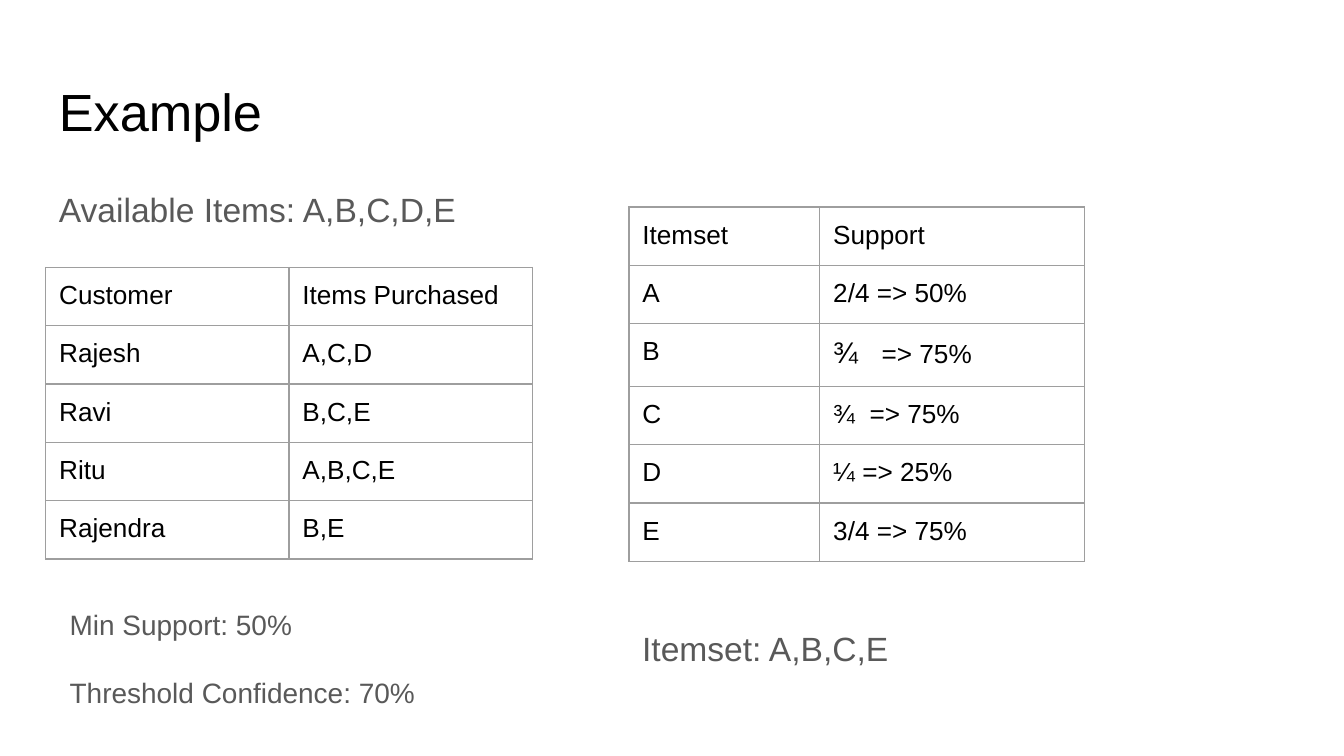
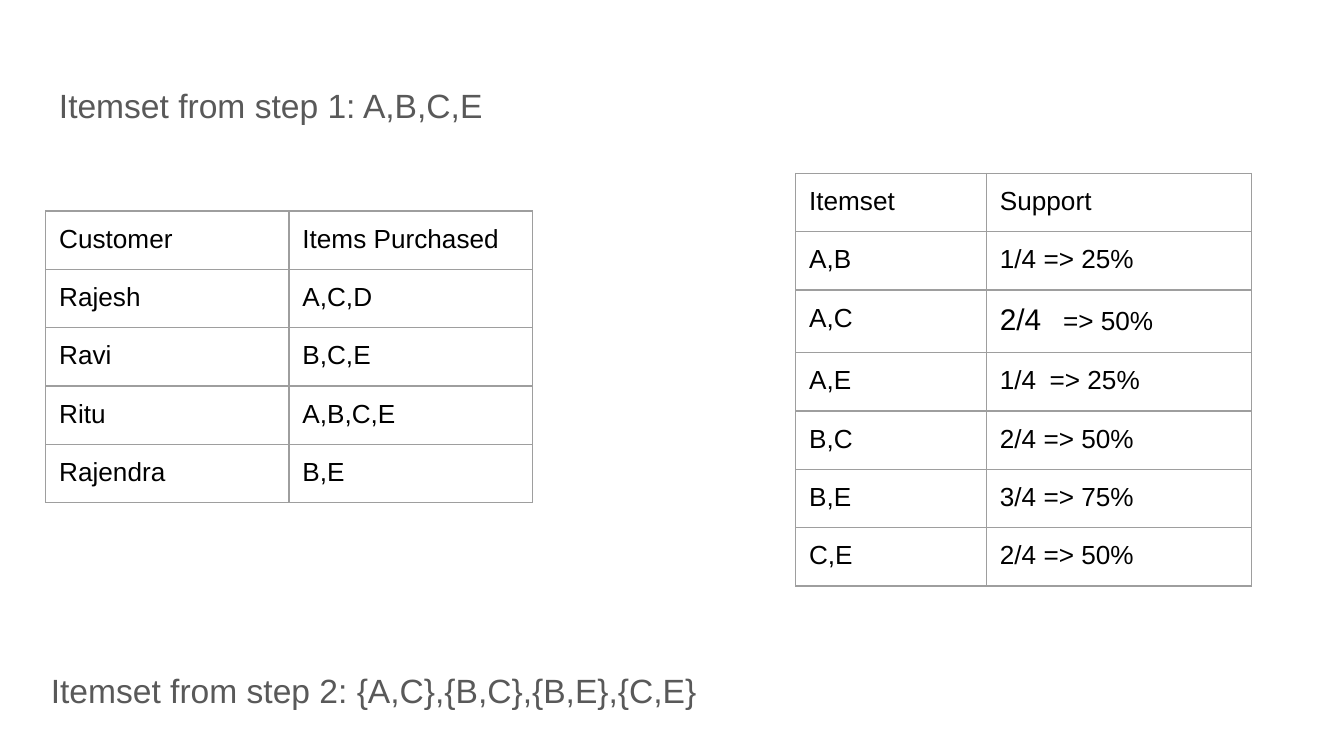
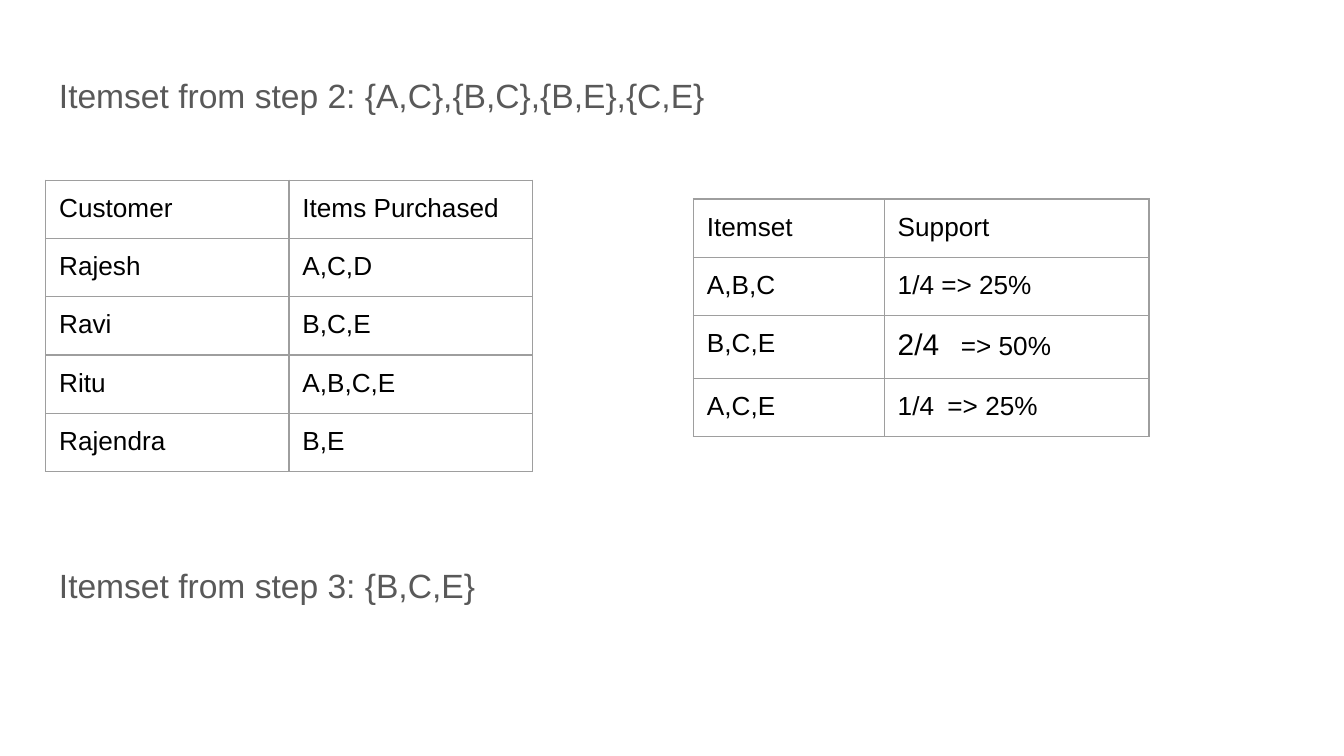
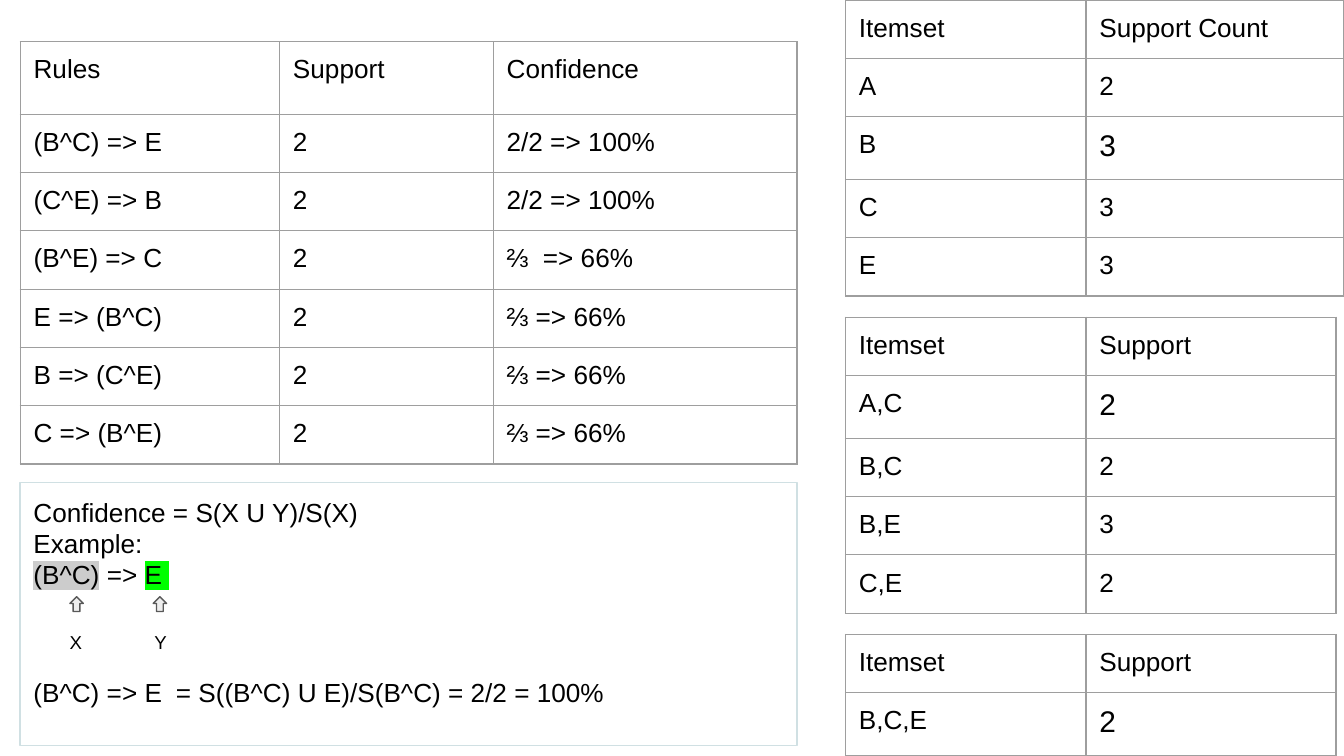
from dataclasses import dataclass
from typing import Optional, Union

from lxml.etree import SubElement
from pptx import Presentation
from pptx.dml.color import RGBColor
from pptx.enum.shapes import MSO_SHAPE as Preset
from pptx.enum.text import MSO_ANCHOR as Anchor, PP_ALIGN as Align
from pptx.oxml.ns import qn
from pptx.oxml.xmlchemy import OxmlElement
from pptx.util import Inches, Pt


@dataclass(frozen=True)
class Theme:
    font: str = "Arial"
    ink: str = "000000"
    muted: str = "595959"
    paper: str = "FFFFFF"
    grid: str = "9E9E9E"
    frame: str = "D0E0E3"
    arrow: str = "EEEEEE"
    mark_x: str = "CCCCCC"
    mark_y: str = "00FF00"
    title: float = 28
    heading: float = 18
    emphasis: float = 16
    note: float = 15
    body: float = 14
    label: float = 10
    hairline: float = 0.75
    inset: float = 0.1


THEME = Theme()


@dataclass(frozen=True)
class Run:
    text: str
    size: float = THEME.body
    color: str = THEME.ink
    highlight: Optional[str] = None


@dataclass(frozen=True)
class Line:
    """One paragraph; tabs are stops in inches from the text edge."""
    runs: tuple[Run, ...]
    spacing: Optional[float] = None
    before: float = 0
    after: float = 0
    tabs: tuple[float, ...] = ()


@dataclass(frozen=True)
class Box:
    left: float
    top: float
    width: float
    height: float

    def lengths(self) -> tuple:
        return tuple(Inches(v) for v in (self.left, self.top, self.width, self.height))


Cell = Union[str, Line]


@dataclass(frozen=True)
class Grid:
    left: float
    top: float
    columns: tuple[float, ...]
    rows: tuple[tuple[Cell, ...], ...]
    row_height: float = 0.42
    header_height: Optional[float] = None


def plain(text: str) -> Line:
    return Line((Run(text),))


def cell_line(text: str, size: float = THEME.body) -> Line:
    return Line((Run(text, size),), 1.0)


def large(text: str) -> Line:
    return cell_line(text, THEME.emphasis)


def tabbed(fraction: str, percent: str, stop: float, size: float = THEME.body) -> Line:
    """A fraction with its percentage moved to a tab stop."""
    return Line((Run(fraction, size), Run(f"\t=> {percent}")), 1.0, tabs=(stop,))


def muted(text: str, size: float = THEME.heading, before: float = 0, after: float = 0) -> Line:
    return Line((Run(text, size, THEME.muted),), 1.15, before, after)


def add_run(paragraph, item: Run) -> None:
    run = paragraph.add_run()
    run.text = item.text
    font = run.font
    font.name = THEME.font
    font.size = Pt(item.size)
    font.color.rgb = RGBColor.from_string(item.color)
    if item.highlight:
        highlight = OxmlElement("a:highlight")
        SubElement(highlight, qn("a:srgbClr"), val=item.highlight)
        run._r.rPr.find(qn("a:solidFill")).addnext(highlight)


def write_lines(text_frame, lines: tuple[Line, ...]) -> None:
    for index, line in enumerate(lines):
        paragraph = text_frame.add_paragraph() if index else text_frame.paragraphs[0]
        paragraph.alignment = Align.LEFT
        paragraph.space_before = Pt(line.before)
        paragraph.space_after = Pt(line.after)
        if line.spacing:
            paragraph.line_spacing = line.spacing
        if line.tabs:
            stops = SubElement(paragraph._p.get_or_add_pPr(), qn("a:tabLst"))
            for stop in line.tabs:
                SubElement(stops, qn("a:tab"), pos=str(Inches(stop)), algn="l")
        for run in line.runs:
            add_run(paragraph, run)


def set_insets(target) -> None:
    for side in ("left", "right", "top", "bottom"):
        setattr(target, f"margin_{side}", Inches(THEME.inset))


def fill_frame(shape, lines: tuple[Line, ...]) -> None:
    text_frame = shape.text_frame
    text_frame.word_wrap = True
    text_frame.vertical_anchor = Anchor.TOP
    set_insets(text_frame)
    write_lines(text_frame, lines)


def add_text(slide, box: Box, *lines: Line) -> None:
    fill_frame(slide.shapes.add_textbox(*box.lengths()), lines)


def add_preset(slide, preset: Preset, box: Box, line: str, fill: Optional[str] = None):
    shape = slide.shapes.add_shape(preset, *box.lengths())
    shape.shadow.inherit = False
    shape.line.color.rgb = RGBColor.from_string(line)
    shape.line.width = Pt(THEME.hairline)
    if fill:
        shape.fill.solid()
        shape.fill.fore_color.rgb = RGBColor.from_string(fill)
    else:
        shape.fill.background()
    return shape


def add_borders(cell) -> None:
    properties = cell._tc.get_or_add_tcPr()
    for index, side in enumerate(("lnL", "lnR", "lnT", "lnB")):
        border = OxmlElement(f"a:{side}")
        border.set("w", str(Pt(THEME.hairline)))
        fill = SubElement(border, qn("a:solidFill"))
        SubElement(fill, qn("a:srgbClr"), val=THEME.grid)
        properties.insert(index, border)


def add_grid(slide, grid: Grid) -> None:
    heights = [grid.row_height] * len(grid.rows)
    heights[0] = grid.header_height or grid.row_height
    box = Box(grid.left, grid.top, sum(grid.columns), sum(heights))
    table = slide.shapes.add_table(len(heights), len(grid.columns), *box.lengths()).table
    table.first_row = False
    table.horz_banding = False
    for column, width in zip(table.columns, grid.columns):
        column.width = Inches(width)
    for row, height, values in zip(table.rows, heights, grid.rows):
        row.height = Inches(height)
        for cell, value in zip(row.cells, values):
            cell.fill.background()
            cell.vertical_anchor = Anchor.TOP
            set_insets(cell)
            add_borders(cell)
            line = cell_line(value) if isinstance(value, str) else value
            write_lines(cell.text_frame, (line,))


MARGIN = 0.34
SUPPORT_COLUMNS = (1.42, 1.97)
SUPPORT_HEADER = ("Itemset", "Support")
STEP_2 = "Itemset from step 2: {A,C},{B,C},{B,E},{C,E}"
PURCHASES = (
    ("Customer", "Items Purchased"),
    ("Rajesh", "A,C,D"),
    ("Ravi", "B,C,E"),
    ("Ritu", "A,B,C,E"),
    ("Rajendra", "B,E"),
)


def add_purchases(slide, top: float) -> None:
    add_grid(slide, Grid(MARGIN, top, (1.81, 1.81), PURCHASES))


def add_support(slide, left: float, top: float, *rows: tuple[Cell, ...]) -> None:
    add_grid(slide, Grid(left, top, SUPPORT_COLUMNS, (SUPPORT_HEADER, *rows)))


def add_heading(slide, top: float, text: str, left: float = MARGIN, after: float = 0) -> None:
    add_text(slide, Box(left, top, 9.32, 0.44), muted(text, after=after))


def build_example(slide) -> None:
    add_text(slide, Box(MARGIN, 0.49, 9.32, 0.63), Line((Run("Example", THEME.title),)))
    add_text(slide, Box(MARGIN, 1.26, 3.2, 0.53), muted("Available Items: A,B,C,D,E", after=16))
    add_purchases(slide, 1.99)
    add_text(
        slide, Box(0.42, 4.38, 3.54, 1.01),
        muted("Min Support: 50%", THEME.note),
        muted("Threshold Confidence: 70%", THEME.note, before=16, after=16),
    )
    add_support(
        slide, 4.68, 1.54,
        ("A", "2/4 => 50%"),
        ("B", tabbed("¾", "75%", 0.36, THEME.emphasis)),
        ("C", tabbed("¾", "75%", 0.27)),
        ("D", "¼ => 25%"),
        ("E", "3/4 => 75%"),
    )
    add_text(slide, Box(4.68, 4.53, 3.2, 0.53), muted("Itemset: A,B,C,E", after=16))


def build_pairs(slide) -> None:
    add_heading(slide, 0.49, "Itemset from step 1: A,B,C,E")
    add_purchases(slide, 1.57)
    add_support(
        slide, 5.92, 1.29,
        ("A,B", "1/4 => 25%"),
        ("A,C", tabbed("2/4", "50%", 0.47, THEME.emphasis)),
        ("A,E", tabbed("1/4", "25%", 0.37)),
        ("B,C", "2/4 => 50%"),
        ("B,E", "3/4 => 75%"),
        ("C,E", "2/4 => 50%"),
    )
    add_heading(slide, 4.84, STEP_2, left=0.28)


def build_triples(slide) -> None:
    add_heading(slide, 0.41, STEP_2)
    add_purchases(slide, 1.34)
    add_support(
        slide, 5.16, 1.48,
        ("A,B,C", "1/4 => 25%"),
        ("B,C,E", tabbed("2/4", "50%", 0.47, THEME.emphasis)),
        ("A,C,E", tabbed("1/4", "25%", 0.37)),
    )
    add_heading(slide, 4.06, "Itemset from step 3: {B,C,E}", after=16)


def add_confidence_note(slide, left: float) -> None:
    frame = add_preset(slide, Preset.RECTANGLE, Box(left, 3.59, 5.78, 1.96), THEME.frame)
    fill_frame(frame, (
        plain("Confidence = S(X U Y)/S(X)"),
        plain("Example:"),
        Line((
            Run("(B^C)", highlight=THEME.mark_x),
            Run(" => "),
            Run("E ", highlight=THEME.mark_y),
        )),
        Line((Run("\tX\tY", THEME.label),), before=22, after=12, tabs=(0.27, 0.9)),
        Line((Run("(B^C) => E\t= S((B^C) U E)/S(B^C) = 2/2 = 100%"),), tabs=(1.06,)),
    ))
    for arrow_left in (0.52, 1.14):
        add_preset(slide, Preset.UP_ARROW, Box(arrow_left, 4.44, 0.1, 0.11),
                   THEME.muted, THEME.arrow)


def build_rules(slide) -> None:
    counts_left, rules_left = 6.29, 0.15
    add_grid(slide, Grid(counts_left, 0, (1.79, 1.92), (
        ("Itemset", "Support Count"),
        ("A", "2"),
        ("B", large("3")),
        ("C", "3"),
        ("E", "3"),
    ), row_height=0.39))
    pairs = (("A,C", large("2")), ("B,C", "2"), ("B,E", "3"), ("C,E", "2"))
    triples = (("B,C,E", large("2")),)
    for top, rows in ((2.36, pairs), (4.72, triples)):
        add_grid(slide, Grid(counts_left, top, (1.79, 1.86), (SUPPORT_HEADER, *rows)))
    confidences = (
        ("(B^C) => E", "2/2 => 100%"),
        ("(C^E) => B", "2/2 => 100%"),
        ("(B^E) => C", tabbed("⅔", "66%", 0.27)),
        ("E => (B^C)", "⅔ => 66%"),
        ("B => (C^E)", "⅔ => 66%"),
        ("C => (B^E)", "⅔ => 66%"),
    )
    add_grid(slide, Grid(rules_left, 0.31, (1.93, 1.59, 2.26), (
        ("Rules", "Support", "Confidence"),
        *((rule, "2", confidence) for rule, confidence in confidences),
    ), row_height=0.39, header_height=0.54))
    add_confidence_note(slide, rules_left)


def main() -> None:
    presentation = Presentation()
    presentation.slide_width = Inches(10)
    presentation.slide_height = Inches(10) * 9 // 16
    blank = presentation.slide_layouts[6]
    for build in (build_example, build_pairs, build_triples, build_rules):
        slide = presentation.slides.add_slide(blank)
        slide.background.fill.solid()
        slide.background.fill.fore_color.rgb = RGBColor.from_string(THEME.paper)
        build(slide)
    presentation.save("out.pptx")


if __name__ == "__main__":
    main()
